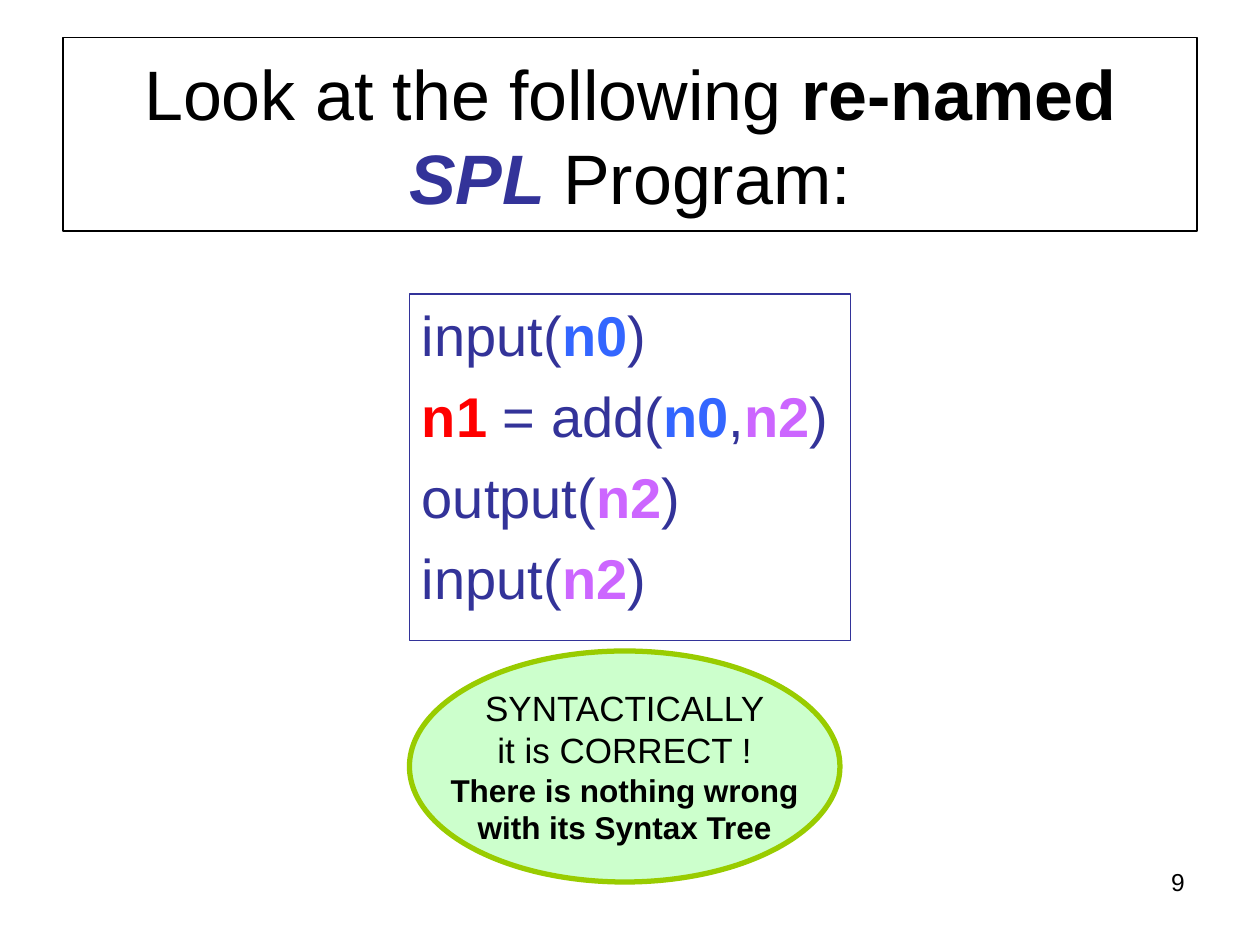
from pptx import Presentation
from pptx.dml.color import RGBColor
from pptx.enum.shapes import MSO_SHAPE
from pptx.enum.text import MSO_ANCHOR, PP_ALIGN
from pptx.util import Inches, Pt

RECTANGLE, OVAL = MSO_SHAPE.RECTANGLE, MSO_SHAPE.OVAL
TOP, MIDDLE = MSO_ANCHOR.TOP, MSO_ANCHOR.MIDDLE
LEFT, CENTER, RIGHT = PP_ALIGN.LEFT, PP_ALIGN.CENTER, PP_ALIGN.RIGHT

BLACK, INDIGO = "000000", "333399"
PALE_GREEN, GREEN = "CCFFCC", "99CC00"
VARIABLE_COLORS = {"n0": "3366FF", "n1": "FF0000", "n2": "CC66FF"}

PROGRAM = [
    ["input(", "n0", ")"],
    ["n1", " = add(", "n0", ",", "n2", ")"],
    ["output(", "n2", ")"],
    ["input(", "n2", ")"],
]


def color(hex_string):
    return RGBColor.from_string(hex_string)


class SlideBuilder:
    """Holds the style and the slide; places are in cells of a 120 x 90 grid."""

    font_name = "Arial"
    columns, rows = 120, 90

    def __init__(self, presentation):
        self.cell_width = presentation.slide_width / self.columns
        self.cell_height = presentation.slide_height / self.rows
        self.slide = presentation.slides.add_slide(presentation.slide_layouts[6])

    def place(self, column, row, width, height):
        return (round(column * self.cell_width), round(row * self.cell_height),
                round(width * self.cell_width), round(height * self.cell_height))

    def panel(self, kind, cells, line, line_width=0.75, fill=None,
              anchor=MIDDLE, wrap=True):
        shape = self.slide.shapes.add_shape(kind, *self.place(*cells))
        shape.shadow.inherit = False
        shape.line.color.rgb = color(line)
        shape.line.width = Pt(line_width)
        if fill:
            shape.fill.solid()
            shape.fill.fore_color.rgb = color(fill)
        else:
            shape.fill.background()
        shape.text_frame.vertical_anchor = anchor
        shape.text_frame.word_wrap = wrap
        return shape.text_frame

    def text_box(self, cells):
        text_frame = self.slide.shapes.add_textbox(*self.place(*cells)).text_frame
        text_frame.word_wrap = True
        return text_frame

    def paragraph(self, text_frame, runs, size, ink=BLACK, align=CENTER,
                  bold=False, space_before=0):
        """Runs are (text, overrides) pairs; overrides may hold bold, italic, ink."""
        is_unused = not text_frame.paragraphs[0].runs
        paragraph = text_frame.paragraphs[0] if is_unused else text_frame.add_paragraph()
        paragraph.alignment = align
        paragraph.space_before = Pt(space_before)
        paragraph.font.name = self.font_name
        paragraph.font.size = Pt(size)
        for text, overrides in runs:
            run = paragraph.add_run()
            run.text = text
            run.font.name = self.font_name
            run.font.size = Pt(size)
            run.font.bold = overrides.get("bold", bold)
            run.font.italic = overrides.get("italic", False)
            run.font.color.rgb = color(overrides.get("ink", ink))


def main():
    presentation = Presentation()
    presentation.slide_width, presentation.slide_height = Inches(10), Inches(7.5)
    builder = SlideBuilder(presentation)

    title = builder.panel(RECTANGLE, (6, 3.6, 108, 18.4), BLACK)
    builder.paragraph(title, [
        ("Look at the following ", {}),
        ("re-named ", {"bold": True}),
        ("SPL ", {"bold": True, "italic": True, "ink": INDIGO}),
        ("Program:", {}),
    ], 40)

    program = builder.panel(RECTANGLE, (39, 28, 42, 33), INDIGO, anchor=TOP)
    for tokens in PROGRAM:
        runs = [(token, {"bold": True, "ink": VARIABLE_COLORS[token]}
                 if token in VARIABLE_COLORS else {}) for token in tokens]
        builder.paragraph(program, runs, 32, INDIGO, LEFT, space_before=8)

    verdict = builder.panel(OVAL, (39, 62, 41, 22), GREEN, 3, PALE_GREEN, wrap=False)
    for text, size, bold in [
        ("SYNTACTICALLY", 20, False),
        ("it is CORRECT !", 20, False),
        ("There is nothing wrong", 18, True),
        ("with its Syntax Tree", 18, True),
    ]:
        builder.paragraph(verdict, [(text, {})], size, bold=bold)

    page_number = builder.text_box((86, 82, 28, 6.25))
    builder.paragraph(page_number, [("9", {})], 14, align=RIGHT)

    presentation.save("out.pptx")


if __name__ == "__main__":
    main()
